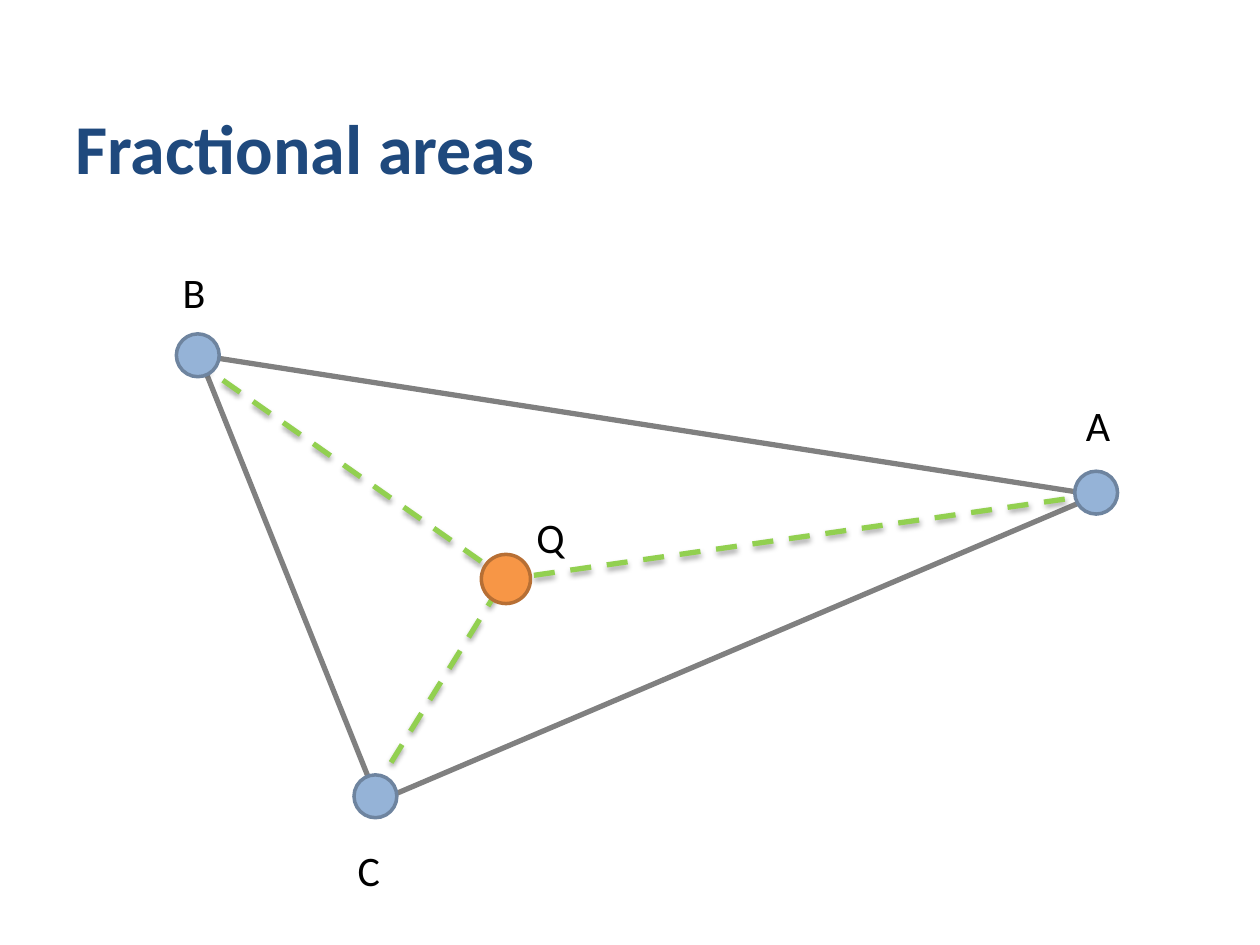
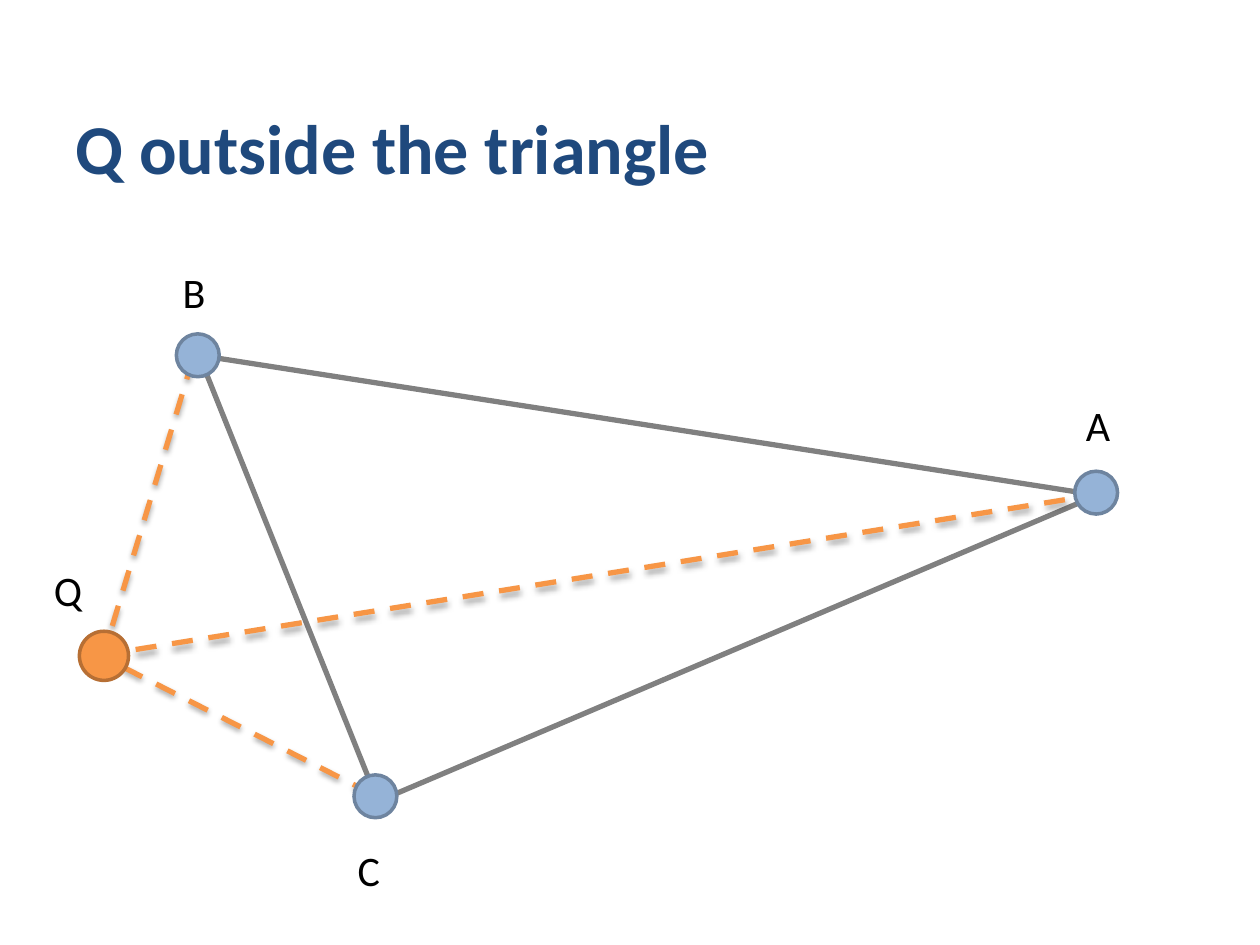
"""Draw a triangle with a point Q inside it, then outside it."""
from lxml.etree import SubElement
from pptx import Presentation
from pptx.dml.color import RGBColor
from pptx.enum.dml import MSO_LINE
from pptx.enum.shapes import MSO_CONNECTOR, MSO_SHAPE
from pptx.enum.text import MSO_ANCHOR, MSO_AUTO_SIZE, PP_ALIGN
from pptx.oxml.ns import qn
from pptx.util import Pt

PX = 9144
CORNERS = [(158, 282), (300, 636), (871, 393)]
ENDS = [(153, 285), (874, 392), (295, 630)]
DOTS = [(281, 615), (853, 374), (140, 265)]
LABELS = [("A", 852, 312, 40), ("B", 135, 207, 38), ("C", 274, 665, 38)]
SCENES = [
    ("Fractional areas", "92D050", [(401, 459), (400, 460), (399, 462)],
     (382, 440), (416, 401)),
    ("Q outside the triangle", "F79646", [(83, 517), (86, 519), (83, 522)],
     (63, 501), (33, 443)),
]


def px(*sizes):
    return [size * PX for size in sizes]


def tint(code):
    return RGBColor.from_string(code)


class Deck:
    font = "Calibri"
    navy, black, gray = "1F497D", "000000", "808080"
    blue, slate = "95B3D7", "6E849F"
    orange, rust = "F79646", "B76F34"

    def __init__(self):
        self.file = Presentation()
        self.file.slide_width, self.file.slide_height = px(1000, 750)

    def start(self, title):
        self.slide = self.file.slides.add_slide(self.file.slide_layouts[5])
        self.shapes = self.slide.shapes
        box = self.shapes.title
        box.left, box.top, box.width, box.height = px(50, 13, 825, 142)
        box.text_frame.vertical_anchor = MSO_ANCHOR.BOTTOM
        self.letter(box, title, 40, self.navy, True)

    def letter(self, box, text, size, color, bold=False):
        line = box.text_frame.paragraphs[0]
        line.text = text
        line.alignment = PP_ALIGN.LEFT
        font = line.font
        font.name, font.size, font.bold = self.font, Pt(size), bold
        font.color.rgb = tint(color)

    def stroke(self, shape, color, width):
        shape.line.color.rgb = tint(color)
        shape.line.width = Pt(width)

    def outline(self, points):
        pen = self.shapes.build_freeform(*points[0], scale=PX)
        pen.add_line_segments(points[1:], close=True)
        shape = pen.convert_to_shape()
        shape.shadow.inherit = False
        shape.fill.background()
        self.stroke(shape, self.gray, 3)

    def dash(self, start, end, color):
        line = self.shapes.add_connector(
            MSO_CONNECTOR.STRAIGHT, *px(*start, *end))
        self.stroke(line, color, 3)
        line.line.dash_style = MSO_LINE.DASH
        effects = SubElement(line._element.spPr, qn("a:effectLst"))
        shade = SubElement(effects, qn("a:outerShdw"), blurRad=str(Pt(3.1)),
                           dist=str(Pt(1.8)), dir="5400000", rotWithShape="0")
        black = SubElement(shade, qn("a:srgbClr"), val=self.black)
        SubElement(black, qn("a:alpha"), val="35000")

    def dot(self, spot, size, fill, edge):
        shape = self.shapes.add_shape(MSO_SHAPE.OVAL, *px(*spot, size, size))
        shape.shadow.inherit = False
        shape.fill.solid()
        shape.fill.fore_color.rgb = tint(fill)
        self.stroke(shape, edge, 2)

    def label(self, text, left, top, width):
        box = self.shapes.add_textbox(*px(left, top, width, 50))
        box.text_frame.word_wrap = False
        box.text_frame.auto_size = MSO_AUTO_SIZE.SHAPE_TO_FIT_TEXT
        self.letter(box, text, 24, self.black)


def main():
    deck = Deck()
    for title, color, hubs, spot, tag in SCENES:
        deck.start(title)
        deck.outline(CORNERS)
        for end, hub in zip(ENDS, hubs):
            deck.dash(end, hub, color)
        for place in DOTS:
            deck.dot(place, 34, deck.blue, deck.slate)
        deck.dot(spot, 39, deck.orange, deck.rust)
        for label in LABELS + [("Q", *tag, 43)]:
            deck.label(*label)
    deck.file.save("out.pptx")


if __name__ == "__main__":
    main()
